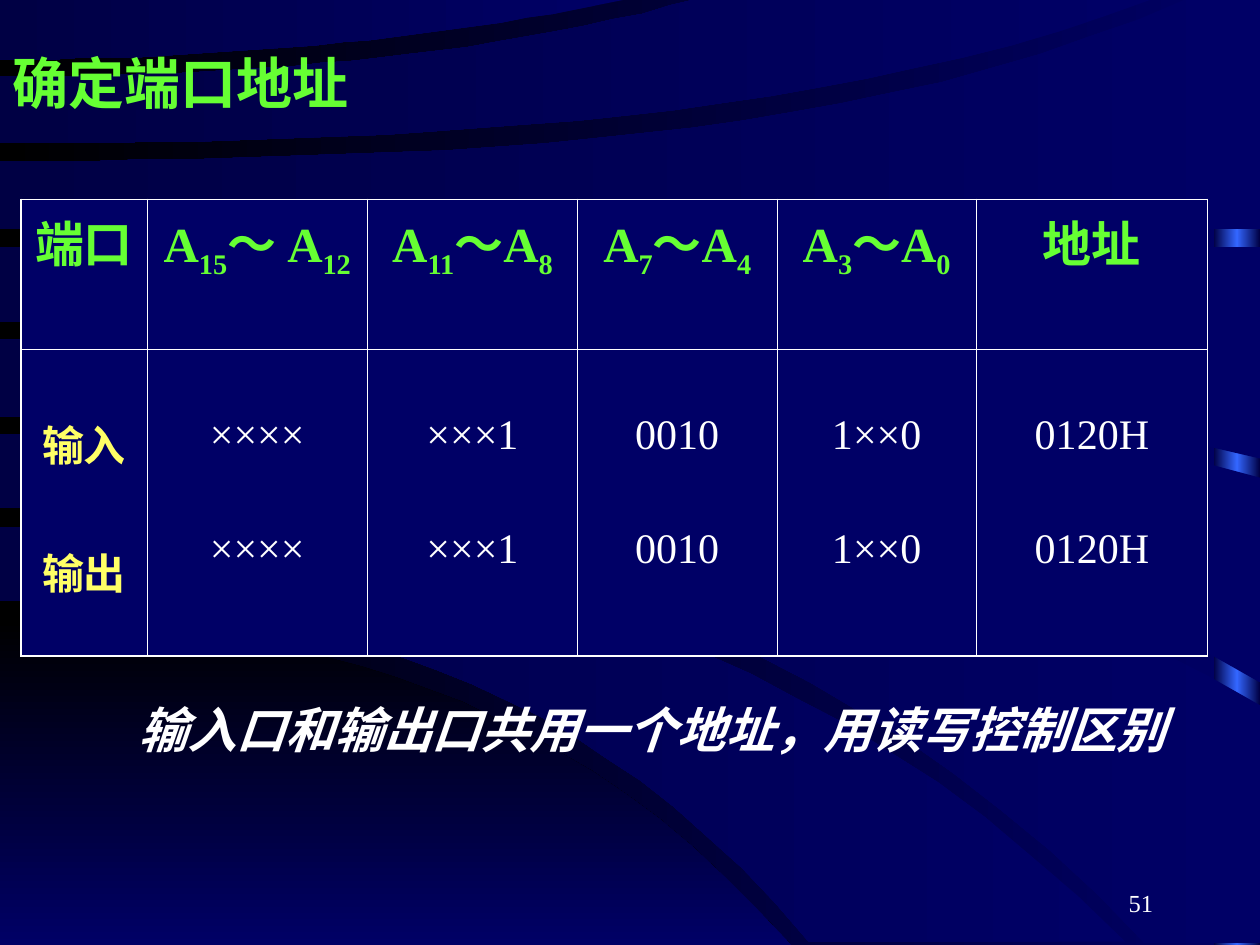
from copy import deepcopy

from lxml.etree import SubElement
from pptx import Presentation
from pptx.dml.color import RGBColor
from pptx.enum.shapes import MSO_SHAPE
from pptx.enum.text import MSO_ANCHOR, MSO_AUTO_SIZE, PP_ALIGN
from pptx.oxml.ns import qn
from pptx.util import Pt

NAVY, DUSK, BLACK = "000066", "000044", "000000"
WHITE, GREEN, YELLOW = "FFFFFF", "66FF33", "FFFF66"
CURVE_STEPS = 24

# Each edge: start height, end x, end y, bend. Each sweep: upper edge, lower edge, corners.
GLOW = ((354, 452, 540, 0.38), (540, 452, 540, 0), [])
SWEEPS = [
    ((301, 643, 538, 0.36), (343, 462, 538, 0.42), []),
    ((248, 720, 403, 0.37), (290, 654, 539, 0.4), [(720, 539)]),
    ((194, 720, 273, 0.19), (238, 720, 390, 0.36), []),
    ((141, 720, 141, 0), (184, 720, 262, 0.19), []),
    ((92, 679, -1, 0.6), (131, 720, 131, 0), [(720, -1)]),
    ((44, 400, -1, 0.24), (82, 660, -1, 0.48), []),
    ((-1, 361, -1, 0), (34, 361, -1, 0.08), []),
]

HEADINGS = ["端口", "A|15|～ A|12", "A|11|～A|8", "A|7|～A|4", "A|3|～A|0", "地址"]
PORTS = [["输入", "输出"], ["××××"] * 2, ["×××1"] * 2, ["0010"] * 2, ["1××0"] * 2, ["0120H"] * 2]
COLUMN_WIDTHS = [72, 126, 120, 114, 114, 132]
ROW_HEIGHTS = [83.5, 175.5]


def rgb(colour):
    return RGBColor.from_string(colour)


def assign(target, values):
    for name, value in values.items():
        setattr(target, name, value)


def shade(fill, colours, angle):
    fill.gradient_angle = angle
    last = len(colours) - 1
    for index, (stop, colour) in enumerate(zip(fill.gradient_stops, colours)):
        stop.color.rgb = rgb(colour)
        stop.position = index / last


def write(paragraph, text, size, colour, align=PP_ALIGN.LEFT, **style):
    paragraph.alignment = align
    for index, part in enumerate(text.split("|")):
        run = paragraph.add_run()
        run.text = part
        assign(run.font, {"size": Pt(size), "name": "Times New Roman", **style})
        run.font.color.rgb = rgb(colour)
        if index % 2:
            run.font._element.set("baseline", "-25000")


def trace_edge(start_y, end_x, end_y, bend):
    if start_y == end_y:
        return [(0, start_y), (end_x, end_y)]
    progress = [step / CURVE_STEPS for step in range(CURVE_STEPS + 1)]
    return [(end_x * t, start_y + (end_y - start_y) * ((1 - bend) * t**2 + bend * t**4))
            for t in progress]


def add_sweep(slide, left, top, edges, colours, angle):
    upper, lower, corners = edges
    points = trace_edge(*upper) + corners + trace_edge(*lower)[::-1]
    builder = slide.shapes.build_freeform(*points[0], scale=Pt(1))
    builder.add_line_segments(points[1:], close=True)
    sweep = builder.convert_to_shape(Pt(left), Pt(top))
    sweep.shadow.inherit = False
    sweep.line.fill.background()
    sweep.fill.gradient()
    shade(sweep.fill, colours, angle)


def add_backdrop(slide, left, top, width, height):
    slide.background.fill.gradient()
    shade(slide.background.fill, [NAVY, BLACK], 180)
    edge_width = 26.5
    edge = slide.shapes.add_shape(MSO_SHAPE.RECTANGLE, Pt(left + width - edge_width), Pt(top),
                                  Pt(edge_width), Pt(height))
    edge.shadow.inherit = False
    edge.line.fill.background()
    edge.fill.gradient()
    stops = edge._element.spPr.find(".//" + qn("a:gsLst"))
    stops.insert(1, deepcopy(stops[0]))
    shade(edge.fill, [DUSK, "3366FF", DUSK], 180)
    add_sweep(slide, left, top, GLOW, [BLACK, NAVY], 270)
    for edges in SWEEPS:
        add_sweep(slide, left, top, edges, [NAVY, DUSK], 180)


def add_heading(slide, left, top, width, height):
    heading = slide.shapes.title
    slide.shapes._spTree.append(heading._element)
    assign(heading, {"left": Pt(left), "top": Pt(top), "width": Pt(width), "height": Pt(height)})
    assign(heading.text_frame, {"vertical_anchor": MSO_ANCHOR.TOP, "word_wrap": True,
                                "auto_size": MSO_AUTO_SIZE.NONE})
    write(heading.text_frame.paragraphs[0], "确定端口地址", 32, GREEN, bold=True)


def add_borders(cell, outer_sides):
    properties = cell._tc.get_or_add_tcPr()
    for side in "LRTB":
        width = 1.08 if side in outer_sides else 0.45
        border = SubElement(properties, qn("a:ln" + side), w=str(Pt(width)))
        SubElement(SubElement(border, qn("a:solidFill")), qn("a:srgbClr"), val=WHITE)


def add_address_table(slide, left, top, width, height):
    table = slide.shapes.add_table(2, len(HEADINGS), Pt(left), Pt(top), Pt(width), Pt(height)).table
    assign(table, {"first_row": False, "horz_banding": False})
    for row, row_height in zip(table.rows, ROW_HEIGHTS):
        row.height = Pt(row_height)
    last = len(HEADINGS) - 1
    for column, (heading, values) in enumerate(zip(HEADINGS, PORTS)):
        table.columns[column].width = Pt(COLUMN_WIDTHS[column])
        side = {0: "L", last: "R"}.get(column, "")
        head, body = table.cell(0, column), table.cell(1, column)
        for cell, edge in ((head, "T"), (body, "B")):
            add_borders(cell, side + edge)
            cell.fill.solid()
            cell.fill.fore_color.rgb = rgb(NAVY)
        write(head.text_frame.paragraphs[0], heading, 28, GREEN, PP_ALIGN.CENTER, bold=True)
        body.margin_top = Pt(36.2)
        first, second = body.text_frame.paragraphs[0], body.text_frame.add_paragraph()
        second.space_before = Pt(38.6)
        for paragraph, value in zip((first, second), values):
            write(paragraph, value, 24, WHITE if column else YELLOW, PP_ALIGN.CENTER,
                  bold=column == 0)


def add_text(slide, left, top, width, height, text, size, anchor, align, **style):
    frame = slide.shapes.add_textbox(Pt(left), Pt(top), Pt(width), Pt(height)).text_frame
    assign(frame, {"word_wrap": True, "vertical_anchor": anchor})
    write(frame.paragraphs[0], text, size, WHITE, align, **style)


def main():
    deck = Presentation()
    assign(deck, {"slide_width": Pt(720), "slide_height": Pt(540)})
    slide = deck.slides.add_slide(deck.slide_layouts[5])
    add_backdrop(slide, 0, 0, 720, 540)
    add_heading(slide, 0, 24, 288, 46)
    add_address_table(slide, 12, 114, sum(COLUMN_WIDTHS), sum(ROW_HEIGHTS))
    add_text(slide, 72, 396, 630, 41, "输入口和输出口共用一个地址，用读写控制区别", 28,
             MSO_ANCHOR.TOP, PP_ALIGN.LEFT, bold=True, italic=True)
    add_text(slide, 516, 492, 150, 36, "51", 14, MSO_ANCHOR.BOTTOM, PP_ALIGN.RIGHT)
    deck.save("out.pptx")


if __name__ == "__main__":
    main()
